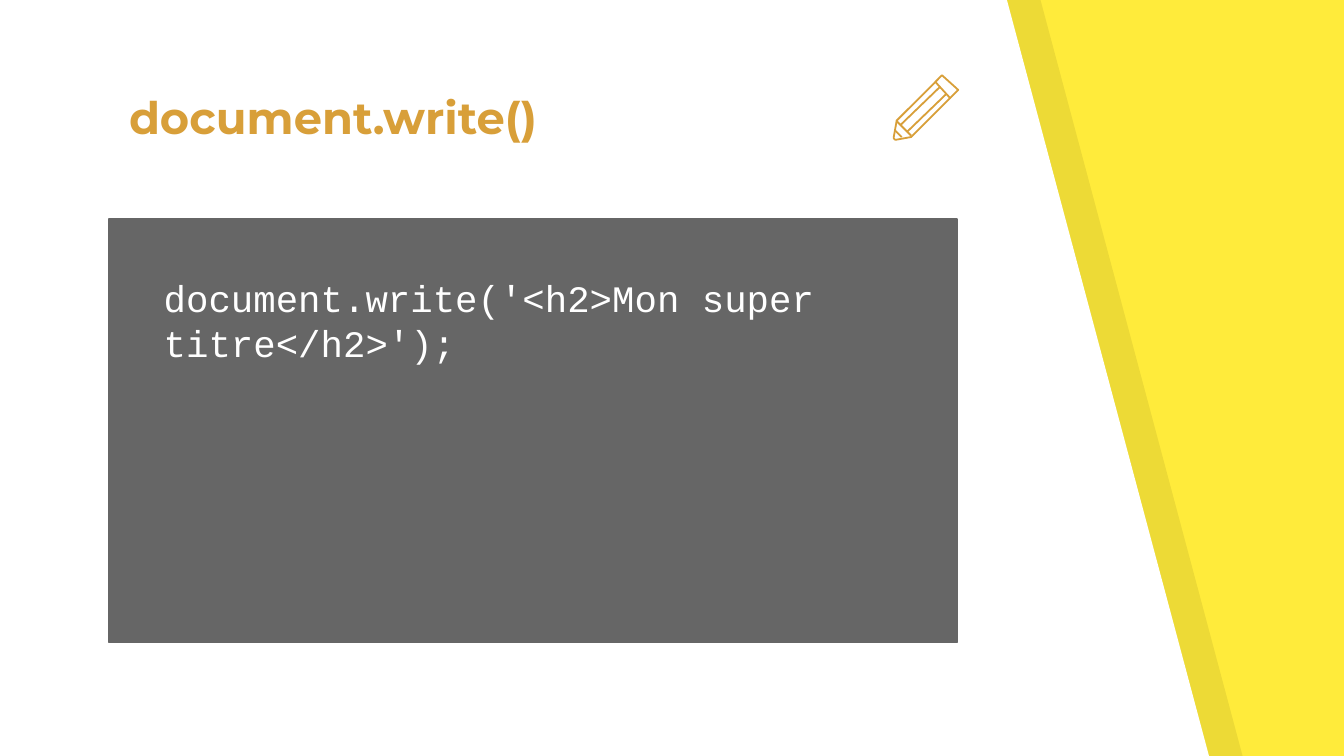
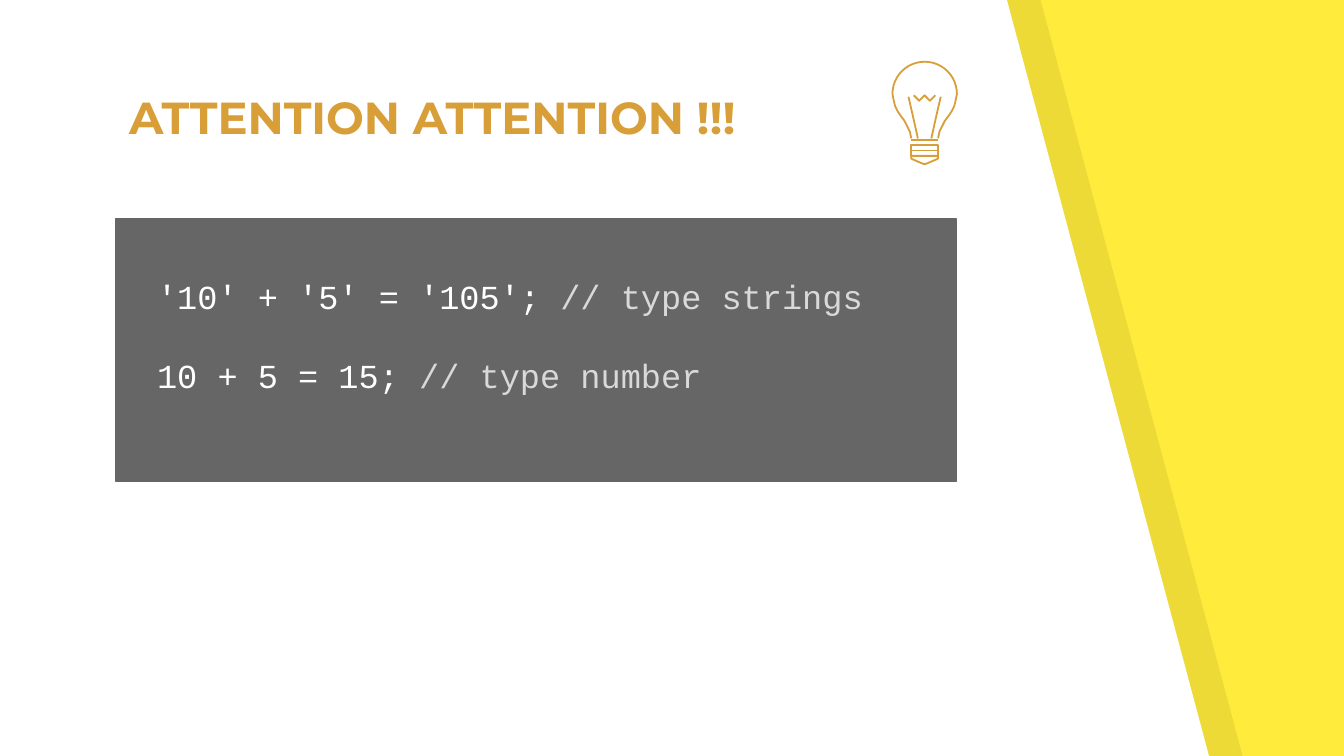
import math

from lxml import etree
from pptx import Presentation
from pptx import util as u
from pptx.dml.color import RGBColor
from pptx.enum import shapes, text
from pptx.oxml.ns import qn

COLORS = {
    "background": "FFEB3B",
    "panel": "FFFFFF",
    "band": "000000",
    "accent": "D89F39",
    "code_box": "666666",
    "code": "FFFFFF",
    "comment": "D9D9D9",
}
TITLE_FONT, CODE_FONT = "Montserrat", "Courier New"
ICON_WEIGHT = 0.96


def color(name):
    return RGBColor.from_string(COLORS[name])


def write(frame, paragraphs, *, font, size, bold=False, gap=0,
          anchor=text.MSO_ANCHOR.TOP):
    """Each paragraph is a list of (words, colour name) runs."""
    frame.word_wrap = True
    frame.auto_size = text.MSO_AUTO_SIZE.NONE
    frame.vertical_anchor = anchor
    frame.margin_left = frame.margin_right = u.Inches(0.1)
    frame.margin_top = frame.margin_bottom = u.Inches(0.1)
    for index, runs in enumerate(paragraphs):
        paragraph = frame.paragraphs[0] if index == 0 else frame.add_paragraph()
        paragraph.alignment = text.PP_ALIGN.LEFT
        paragraph.line_spacing = 1.0
        paragraph.space_before = u.Pt(gap if index else 0)
        for words, shade in runs:
            run = paragraph.add_run()
            run.text = words
            run.font.name, run.font.size, run.font.bold = font, u.Pt(size), bold
            run.font.color.rgb = color(shade)


def outline(slide, points, left=0, top=0, *, closed=False, fill=None, line=None, alpha=None):
    """Draw a polyline whose points are relative to (left, top)."""
    placed = [(u.Inches(left + x), u.Inches(top + y)) for x, y in points]
    builder = slide.shapes.build_freeform(*placed[0], scale=1.0)
    builder.add_line_segments(placed[1:], close=closed)
    shape = builder.convert_to_shape()
    shape.shadow.inherit = False
    if fill:
        shape.fill.solid()
        shape.fill.fore_color.rgb = color(fill)
    else:
        shape.fill.background()
    if line:
        shape.line.color.rgb = color(line)
        shape.line.width = u.Pt(ICON_WEIGHT)
    else:
        shape.line.fill.background()
    if alpha:
        fill_color = shape.fill._xPr.find(qn("a:solidFill"))[0]
        etree.SubElement(fill_color, qn("a:alpha")).set("val", str(alpha * 1000))


def add_backdrop(slide):
    slide.background.fill.solid()
    slide.background.fill.fore_color.rgb = color("background")
    panel = [(0, 0), (0, 5.65), (9, 5.65), (7.49, 0)]
    outline(slide, panel, 0.25, -0.01, closed=True, fill="band", alpha=7)
    outline(slide, panel, 0, -0.01, closed=True, fill="panel")


def add_title(slide, words, width):
    title = slide.shapes.title
    title.left, title.top = u.Inches(0.86), u.Inches(0.72)
    title.width, title.height = u.Inches(width), u.Inches(0.45)
    write(title.text_frame, [[(words, "accent")]], font=TITLE_FONT, size=24,
          bold=True, anchor=text.MSO_ANCHOR.BOTTOM)
    # Bring the title in front of the backdrop
    slide.shapes._spTree.append(title._element)


def add_code(slide, box, text_offset, text_width, lines, size):
    left, top, width, height = box
    code_box = slide.shapes.add_shape(
        shapes.MSO_SHAPE.RECTANGLE, *(u.Inches(length) for length in box))
    code_box.shadow.inherit = False
    code_box.fill.solid()
    code_box.fill.fore_color.rgb = color("code_box")
    code_box.line.color.rgb = color("code_box")
    code_box.line.width = u.Pt(0.75)
    listing = slide.shapes.add_textbox(
        u.Inches(left + text_offset), u.Inches(top + 0.32),
        u.Inches(text_width), u.Inches(2.53))
    write(listing.text_frame, lines, font=CODE_FONT, size=size, gap=21)


def add_pencil(slide, left, top):
    strokes = [
        # Eraser
        ([(0.47, 0.1), (0.37, 0.01), (0.36, 0), (0.35, 0.01), (0.31, 0.05),
          (0.42, 0.17), (0.47, 0.12), (0.48, 0.11)], True),
        # Body and tip
        ([(0.31, 0.05), (0.02, 0.34), (0.02, 0.35), (0, 0.46), (0, 0.47),
          (0.01, 0.48), (0.02, 0.48), (0.13, 0.46), (0.42, 0.17)], False),
        # Facets
        ([(0.39, 0.14), (0.1, 0.42)], False),
        ([(0.05, 0.37), (0.34, 0.09)], False),
        # Lead and collar
        ([(0.06, 0.46), (0.01, 0.41)], False),
        ([(0.02, 0.34), (0.13, 0.45)], False),
    ]
    for points, closed in strokes:
        outline(slide, points, left, top, closed=closed, line="accent")


def add_bulb(slide, left, top):
    radius, socket = 0.24, 0.1
    center = left + radius

    def mirrored(points):
        return [(-x, y) for x, y in reversed(points)]

    # Glass: an upper half circle and two mirrored flanks
    dome = [(radius * math.cos(math.pi * step / 24),
             radius - radius * math.sin(math.pi * step / 24)) for step in range(25)]
    flank = [(socket, 0.57), (0.11, 0.52), (0.13, 0.48), (0.15, 0.44),
             (0.18, 0.4), (0.2, 0.37), (0.22, 0.33), (0.23, 0.29)]
    # Filament and its two supports
    support = [(0.12, 0.26), (0.09, 0.39), (0.05, 0.57)]
    filament = [(-0.08, 0.25), (-0.04, 0.29), (0, 0.25), (0.04, 0.29), (0.08, 0.25)]
    neck = [(-socket, 0.58), (socket, 0.58)]
    for points in (flank + dome + mirrored(flank), support, mirrored(support), filament, neck):
        outline(slide, points, center, top, line="accent")

    # Socket rings and cap
    rings = [[(-socket, y), (socket, y), (socket, y + 0.04), (-socket, y + 0.04)]
             for y in (0.62, 0.66)]
    cap_side = [(socket, 0.7), (socket, 0.72), (0.08, 0.73), (0.01, 0.76)]
    for points in rings + [cap_side + mirrored(cap_side)]:
        outline(slide, points, center, top, closed=True, line="accent")


def add_lesson(deck, title, title_width, code, icon, icon_at):
    slide = deck.slides.add_slide(deck.slide_layouts[5])
    add_backdrop(slide)
    add_title(slide, title, title_width)
    add_code(slide, **code)
    icon(slide, *icon_at)


def main():
    deck = Presentation()
    # Widescreen, 16:9
    deck.slide_width = u.Inches(10)
    deck.slide_height = deck.slide_width * 9 // 16
    add_lesson(
        deck, "document.write()", 5.25,
        dict(box=(0.81, 1.63, 6.31, 3.15), text_offset=0.31, text_width=5.66, size=20,
             lines=[[("document.write('<h2>Mon super titre</h2>');", "code")]]),
        add_pencil, (6.65, 0.56))
    add_lesson(
        deck, "ATTENTION ATTENTION !!!", 5.44,
        dict(box=(0.86, 1.63, 6.26, 1.95), text_offset=0.21, text_width=5.72, size=18,
             lines=[[("'10' + '5' = '105'; ", "code"), ("// type strings", "comment")],
                    [("10 + 5 = 15; ", "code"), ("// type number", "comment")]]),
        add_bulb, (6.64, 0.46))
    deck.save("out.pptx")


if __name__ == "__main__":
    main()
